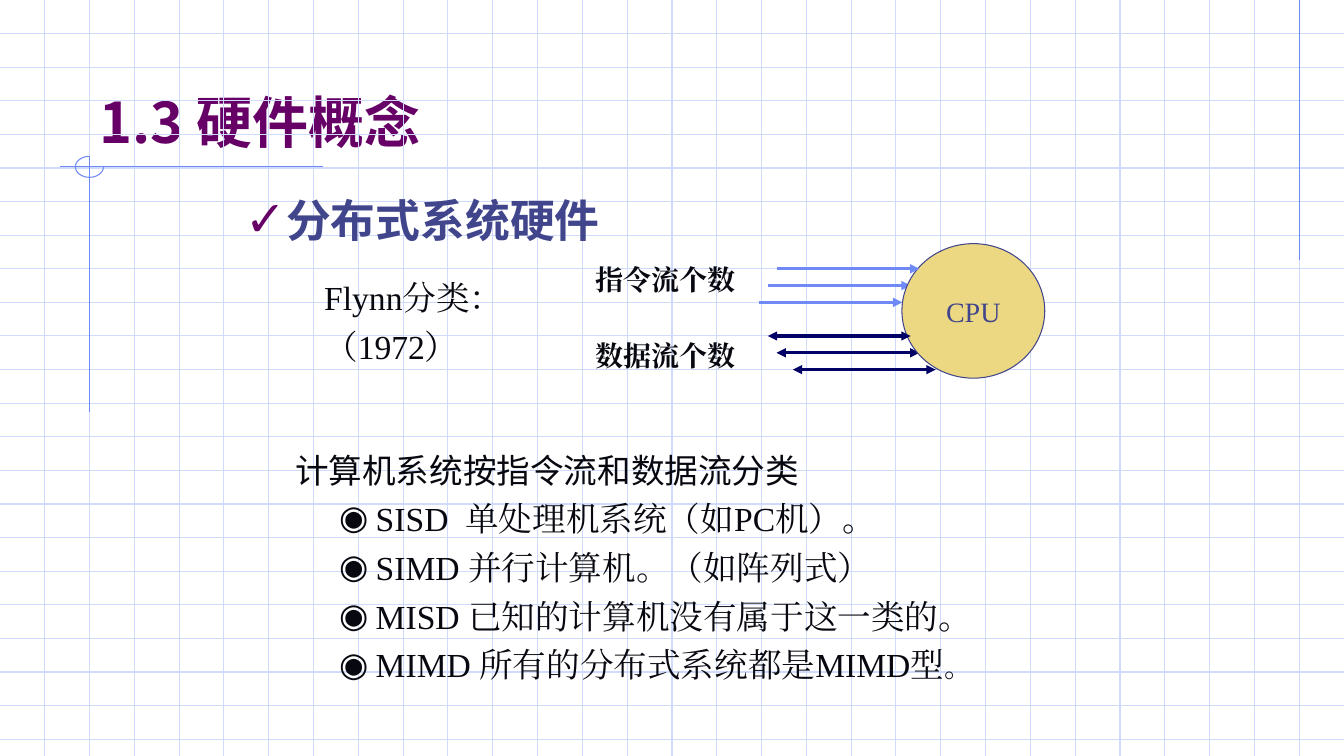
from lxml import etree
from pptx import Presentation, util as u
from pptx.dml.color import RGBColor
from pptx.enum import shapes, text
from pptx.oxml import ns

GRID_BLUE = RGBColor(0xCF, 0xDB, 0xFD)
ACCENT_BLUE = RGBColor(0x6F, 0x89, 0xF7)
NAVY = RGBColor(0x00, 0x00, 0x66)
INDIGO = RGBColor(0x40, 0x45, 0x8C)
PURPLE = RGBColor(0x66, 0x00, 0x66)
INK = RGBColor(0x08, 0x09, 0x10)
SAND = RGBColor(0xEC, 0xD8, 0x82)
SERIF = "Times New Roman"

WIDTH, HEIGHT = 33.87, 19.05
COLUMN_GAP, ROW_GAP = WIDTH / 30, HEIGHT / 22.5


class SlideBuilder:
    """Holds the slide and the shared style; lengths are centimetres."""

    def __init__(self, slide):
        self.slide = slide

    def words(self, paragraph, wording, size, color, font=SERIF, bold=False):
        run = paragraph.add_run()
        run.text = wording
        run.font.size = u.Pt(size)
        run.font.bold = bold
        run.font.name = font
        run.font.color.rgb = color
        east_asian = etree.SubElement(run._r.get_or_add_rPr(), ns.qn("a:ea"))
        east_asian.set("typeface", font)

    def title(self, wording, box):
        title = self.slide.shapes.title
        title.left, title.top, title.width, title.height = map(u.Cm, box)
        title.text_frame.vertical_anchor = text.MSO_ANCHOR.BOTTOM
        paragraph = title.text_frame.paragraphs[0]
        paragraph.alignment = text.PP_ALIGN.LEFT
        self.words(paragraph, wording, 40, PURPLE, "Noto Sans CJK JP", True)

    def text_box(self, box):
        frame = self.slide.shapes.add_textbox(*map(u.Cm, box)).text_frame
        frame.word_wrap = True
        return frame

    def indent(self, paragraph, margin, hanging):
        properties = paragraph._p.get_or_add_pPr()
        properties.set("marL", str(u.Cm(margin)))
        properties.set("indent", str(-u.Cm(hanging)))
        return properties

    def bullet(self, paragraph, mark, color, margin, hanging, percent=100):
        properties = self.indent(paragraph, margin, hanging)
        tint = etree.SubElement(properties, ns.qn("a:buClr"))
        etree.SubElement(tint, ns.qn("a:srgbClr")).set("val", str(color))
        etree.SubElement(properties, ns.qn("a:buSzPct")).set("val", str(percent * 1000))
        etree.SubElement(properties, ns.qn("a:buFont")).set("typeface", "Arial")
        etree.SubElement(properties, ns.qn("a:buChar")).set("char", mark)

    def line(self, x1, y1, x2, y2, color, weight=0.75, arrows=()):
        line = self.slide.shapes.add_connector(
            shapes.MSO_CONNECTOR.STRAIGHT, u.Cm(x1), u.Cm(y1), u.Cm(x2), u.Cm(y2))
        line.line.color.rgb = color
        line.line.width = u.Pt(weight)
        for end in arrows:
            etree.SubElement(line.line._get_or_add_ln(), ns.qn(end)).set("type", "triangle")
        etree.SubElement(line._element.spPr, ns.qn("a:effectLst"))

    def shape(self, preset, box, outline, fill=None):
        shape = self.slide.shapes.add_shape(preset, *map(u.Cm, box))
        shape.shadow.inherit = False
        shape.line.color.rgb = outline
        shape.line.width = u.Pt(0.75)
        if fill is None:
            shape.fill.background()
        else:
            shape.fill.solid()
            shape.fill.fore_color.rgb = fill
        return shape

    def stream(self, half_row, start, color, arrows):
        y = half_row * ROW_GAP / 2
        self.line(start, y, start + 3.6, y, color, 2.25, arrows)


def main():
    deck = Presentation()
    deck.slide_width, deck.slide_height = u.Cm(WIDTH), u.Cm(HEIGHT)
    page = SlideBuilder(deck.slides.add_slide(deck.slide_layouts[5]))

    # Squared paper
    for row in range(1, 23):
        page.line(0, row * ROW_GAP, WIDTH, row * ROW_GAP, GRID_BLUE)
    for column in range(1, 30):
        page.line(column * COLUMN_GAP, 0, column * COLUMN_GAP, HEIGHT, GRID_BLUE)

    # Margin ornaments
    right_margin, left_margin = 29 * COLUMN_GAP, 2 * COLUMN_GAP
    page.line(right_margin, 0, right_margin, 6.55, ACCENT_BLUE)
    page.line(8.15, 4.2, 1.52, 4.2, ACCENT_BLUE)
    page.line(left_margin, 3.94, left_margin, 10.39, ACCENT_BLUE)
    loop = page.shape(shapes.MSO_SHAPE.ARC, (1.9, 3.94, 0.71, 0.53), ACCENT_BLUE)
    loop.adjustments[0], loop.adjustments[1] = 0, 162

    # Title and heading
    page.title("1.3 硬件概念", (2.26, 0.84, 28.78, 3.18))
    heading = page.text_box((5.92, 4.72, 12, 1.8)).paragraphs[0]
    heading.space_before = u.Pt(8)
    page.bullet(heading, "✓", PURPLE, 0.95, 0.95, 110)
    page.words(heading, "分布式系统硬件", 32, INDIGO, "Karla", True)

    # Classification list
    listing = page.text_box((7.19, 11.2, 20.9, 6.6))
    intro = listing.paragraphs[0]
    intro.space_before = u.Pt(6)
    page.words(intro, "计算机系统按指令流和数据流分类", 24, INK, "Noto Sans CJK SC")
    classes = (
        (("SISD  单处理机系统（如PC机）。", 24),),
        (("SIMD 并行计算机。（如阵列式）", 24),),
        (("MISD 已知的计算机没有属于这一类的。", 24),),
        (("MIMD 所有的分布式系统都是MIMD型", 24), ("。", 20)),
    )
    for runs in classes:
        entry = listing.add_paragraph()
        entry.space_before = u.Pt(6)
        page.bullet(entry, "◉", INK, 2.03, 0.92)
        for wording, size in runs:
            page.words(entry, wording, size, INK)

    # CPU with its instruction and data streams
    one_way, two_way = ("a:tailEnd",), ("a:headEnd", "a:tailEnd")
    page.stream(17, 19.35, ACCENT_BLUE, one_way)
    page.stream(21, 19.57, NAVY, two_way)
    cpu = page.shape(shapes.MSO_SHAPE.OVAL, (22.73, 6.14, 3.6, 3.39), INDIGO, SAND)
    cpu.text_frame.vertical_anchor = text.MSO_ANCHOR.MIDDLE
    cpu_label = cpu.text_frame.paragraphs[0]
    cpu_label.alignment = text.PP_ALIGN.CENTER
    page.words(cpu_label, "CPU", 20, INDIGO)
    for half_row, start in ((16, 19.57), (18, 19.14)):
        page.stream(half_row, start, ACCENT_BLUE, one_way)
    for half_row, start in ((20, 19.35), (22, 19.98)):
        page.stream(half_row, start, NAVY, two_way)

    for wording, top in (("指令流个数", 6.5), ("数据流个数", 8.41)):
        stream_label = page.text_box((14.6, top, 4.2, 1.09)).paragraphs[0]
        stream_label.alignment = text.PP_ALIGN.RIGHT
        page.words(stream_label, wording, 20, INK, bold=True)

    # Flynn note
    flynn = page.text_box((7.92, 6.86, 5, 4.04))
    for wording, note in (("Flynn分类：", flynn.paragraphs[0]),
                          ("（1972）", flynn.add_paragraph())):
        note.space_before = u.Pt(6)
        page.indent(note, 0.95, 0.95)
        page.words(note, wording, 24, INK)

    deck.save("out.pptx")


if __name__ == "__main__":
    main()
